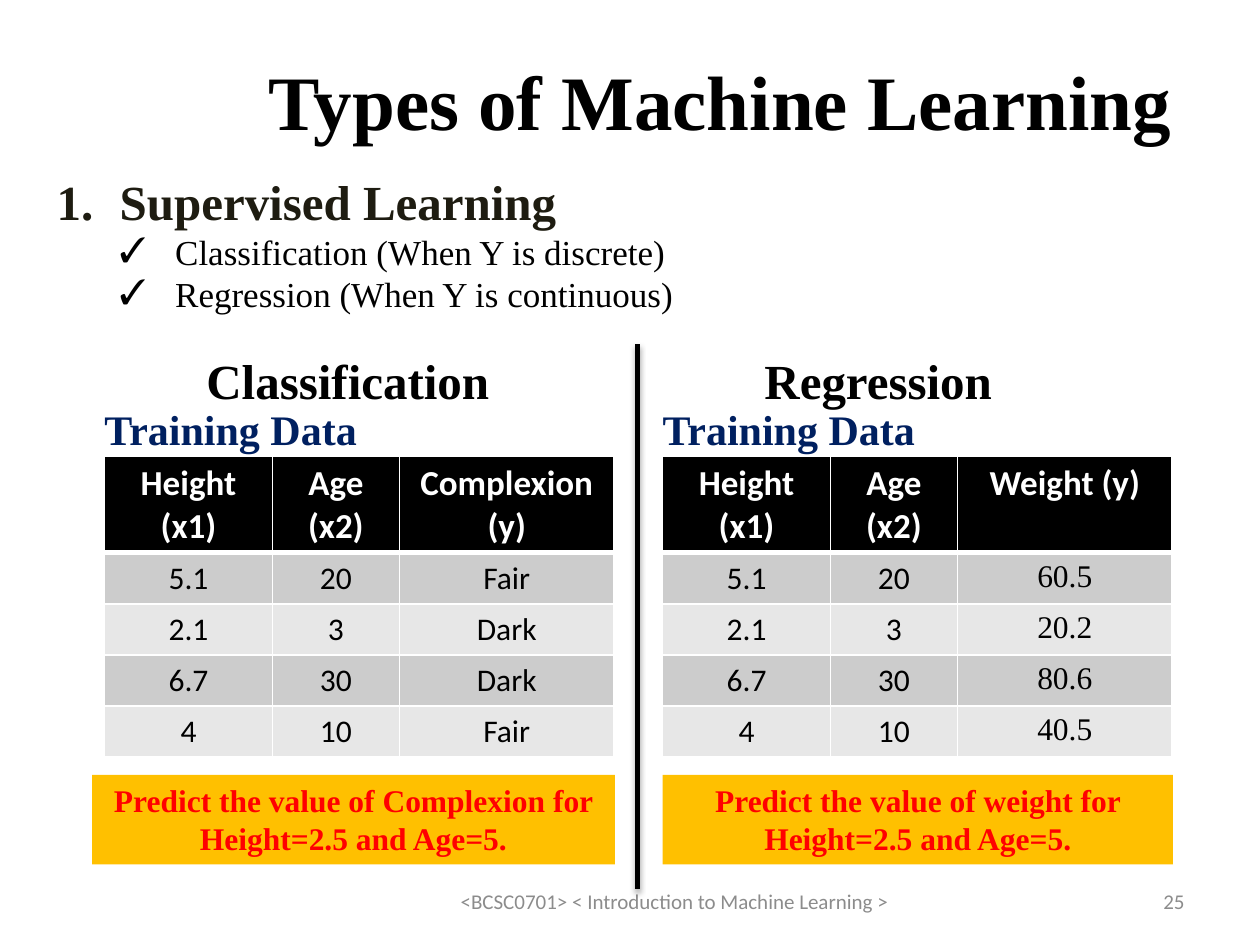
import pptx
import pptx.util
import pptx.dml.color
import pptx.enum.shapes
import pptx.enum.text
import pptx.oxml
import pptx.oxml.ns
from lxml import etree

Pt = pptx.util.Pt
qn = pptx.oxml.ns.qn
ALIGN = pptx.enum.text.PP_ALIGN
ANCHOR = pptx.enum.text.MSO_ANCHOR
SERIF, SANS = "Times New Roman", "Calibri"

COLORS = {
    "black": "000000", "white": "FFFFFF", "grey": "8C8C8C", "olive": "1E1C11",
    "navy": "002060", "amber": "FFC000", "red": "FF0000",
    "band_dark": "CCCCCC", "band_light": "E7E7E7",
}

# Content
TITLE = "Types of Machine Learning"
# text, level, bullet, left margin, hanging, size, bold, colour
OUTLINE = [
    ("Supervised Learning", 0, "1.", 36, 36, 28, True, "olive"),
    ("Classification (When Y is discrete)", 1, "✓", 67.7, 31.7, 20, False, "black"),
    ("Regression (When Y is continuous)", 1, "✓", 67.7, 31.7, 20, False, "black"),
]
INPUTS = [("Height (x1)", "Age (x2)"), ("5.1", "20"), ("2.1", "3"), ("6.7", "30"), ("4", "10")]
PANELS = [
    {"heading": "Classification", "heading_box": (110.9, 177.8), "left": 59.8,
     "target": ["Complexion (y)", "Fair", "Dark", "Dark", "Fair"], "target_font": SANS,
     "task": "Predict the value of Complexion for Height=2.5 and Age=5.",
     "task_box": (52.6, 298.8)},
    {"heading": "Regression", "heading_box": (429.8, 146.2), "left": 378.7,
     "target": ["Weight (y)", "60.5", "20.2", "80.6", "40.5"], "target_font": SERIF,
     "task": "Predict the value of weight for Height=2.5 and Age=5.",
     "task_box": (378.7, 291.6)},
]
FOOTER = [
    ("<BCSC0701> < Introduction to Machine Learning >", (246.2, 500.4, 278.6, 28.8), ALIGN.CENTER),
    ("25", (516.2, 500.4, 167.8, 28.8), ALIGN.RIGHT),
]
COLUMNS = [95.8, 72.7, 122.6]
HEADER_HEIGHT, ROW_HEIGHT = 54.9, 29.2

prs = pptx.Presentation()
prs.slide_width, prs.slide_height = Pt(720), Pt(540)
s = prs.slides.add_slide(prs.slide_layouts[1])


def rgb(name):
    return pptx.dml.color.RGBColor.from_string(COLORS[name])


def place(sp, box):
    sp.left, sp.top, sp.width, sp.height = [Pt(v) for v in box]


def format_text(p, size, color, font=SERIF, bold=False, align=None):
    if align is not None:
        p.alignment = align
    for r in p.runs:
        r.font.name, r.font.size, r.font.bold = font, Pt(size), bold
        r.font.color.rgb = rgb(color)


def add_text(text, box, size, color, wrap=True, anchor=ANCHOR.TOP, **style):
    tf = s.shapes.add_textbox(*[Pt(v) for v in box]).text_frame
    tf.word_wrap, tf.vertical_anchor = wrap, anchor
    tf.text = text
    format_text(tf.paragraphs[0], size, color, **style)


def set_bullet(p, char, margin, hanging):
    pPr = p._p.get_or_add_pPr()
    pPr.set("marL", str(int(Pt(margin))))
    pPr.set("indent", str(-int(Pt(hanging))))
    etree.SubElement(pPr, qn("a:buFont")).set("typeface", SERIF)
    if char == "1.":
        etree.SubElement(pPr, qn("a:buAutoNum")).set("type", "arabicPeriod")
    else:
        etree.SubElement(pPr, qn("a:buChar")).set("char", char)


def set_borders(cell, bottom):
    tcPr = cell._tc.get_or_add_tcPr()
    for side, width in (("L", 1), ("R", 1), ("T", 1), ("B", bottom)):
        ln = etree.SubElement(tcPr, qn("a:ln" + side), w=str(int(Pt(width))))
        fill = etree.SubElement(ln, qn("a:solidFill"))
        etree.SubElement(fill, qn("a:srgbClr")).set("val", COLORS["white"])


def add_data_table(panel):
    rows = [(*xs, y) for xs, y in zip(INPUTS, panel["target"])]
    heights = [HEADER_HEIGHT] + [ROW_HEIGHT] * (len(rows) - 1)
    table = s.shapes.add_table(len(rows), len(COLUMNS), Pt(panel["left"]), Pt(260.6),
                               Pt(sum(COLUMNS)), Pt(sum(heights))).table
    for column, width in zip(table.columns, COLUMNS):
        column.width = Pt(width)
    for i, row in enumerate(rows):
        table.rows[i].height = Pt(heights[i])
        header = i == 0
        band = "black" if header else "band_dark" if i % 2 else "band_light"
        for j, text in enumerate(row):
            cell = table.cell(i, j)
            set_borders(cell, 3 if header or i == 0 else 1)
            if i == 1:
                cell._tc.tcPr.find(qn("a:lnT")).set("w", str(int(Pt(3))))
            cell.fill.solid()
            cell.fill.fore_color.rgb = rgb(band)
            cell.text = text
            font = panel["target_font"] if j == 2 and not header else SANS
            format_text(cell.text_frame.paragraphs[0], 20 if header else 18,
                        "white" if header else "black", font, header, ALIGN.CENTER)


# Title
title = s.shapes.title
place(title, (139, 5.8, 545, 102.2))
title.text_frame.text = TITLE
title.text_frame.vertical_anchor = ANCHOR.MIDDLE
format_text(title.text_frame.paragraphs[0], 44, "black", bold=True, align=ALIGN.CENTER)

# Footer and slide number
for text, box, align in FOOTER:
    add_text(text, box, 12, "grey", anchor=ANCHOR.MIDDLE, font=SANS, align=align)

# Outline
body = s.placeholders[1]
place(body, (25.2, 94.3, 666.7, 90))
tf = body.text_frame
tf.text = "\n".join(item[0] for item in OUTLINE)
for p, (_, level, char, margin, hanging, size, bold, color) in zip(tf.paragraphs, OUTLINE):
    p.level = level
    p.space_before = Pt(0)
    set_bullet(p, char, margin, hanging)
    format_text(p, size, color, bold=bold)

# Panels: heading, training table and prediction task
for panel in PANELS:
    left, width = panel["heading_box"]
    add_text(panel["heading"], (left, 196.6, width, 41), 28, "black", wrap=False, bold=True)
    add_data_table(panel)
    add_text("Training Data", (panel["left"] - 7.2, 226.8, 159.8, 36), 24, "navy",
             wrap=False, bold=True)
    left, width = panel["task_box"]
    sp = s.shapes.add_shape(pptx.enum.shapes.MSO_SHAPE.RECTANGLE,
                            Pt(left), Pt(442.8), Pt(width), Pt(51.1))
    sp.shadow.inherit = False
    sp.fill.solid()
    sp.fill.fore_color.rgb = rgb("amber")
    sp.line.fill.background()
    sp.text_frame.word_wrap = True
    sp.text_frame.vertical_anchor = ANCHOR.TOP
    sp.text_frame.text = panel["task"]
    format_text(sp.text_frame.paragraphs[0], 18, "red", bold=True, align=ALIGN.CENTER)

# Divider with a soft shadow below
divider = s.shapes.add_connector(pptx.enum.shapes.MSO_CONNECTOR.STRAIGHT,
                                 Pt(364.3), Pt(196.6), Pt(364.3), Pt(508.3))
divider.line.width = Pt(3)
divider.line.color.rgb = rgb("black")
effects = etree.SubElement(divider._element.spPr, qn("a:effectLst"))
shadow = etree.SubElement(effects, qn("a:outerShdw"), blurRad=str(int(Pt(3.1))),
                          dist=str(int(Pt(1.8))), dir="5400000", rotWithShape="0")
shade = etree.SubElement(shadow, qn("a:srgbClr"), val=COLORS["black"])
etree.SubElement(shade, qn("a:alpha")).set("val", "35000")

prs.save("out.pptx")
